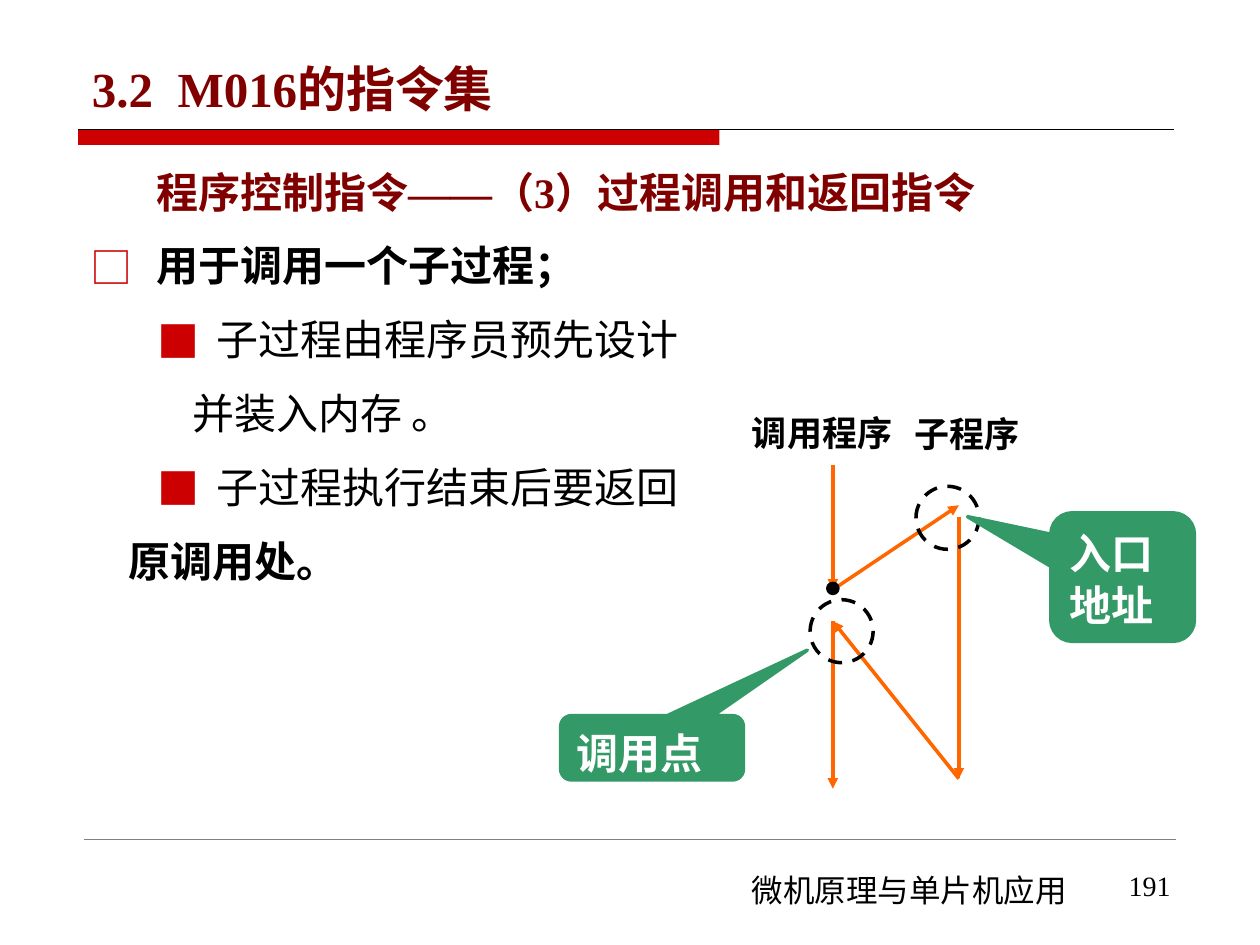
from lxml import etree
from pptx import Presentation, util as u
from pptx.dml.color import RGBColor
from pptx.enum import dml, shapes, text
from pptx.oxml import ns

THEME = {
    "latin": "Times New Roman", "cjk": "Noto Sans CJK SC",
    "maroon": "800000", "red": "CC0000", "black": "000000", "gray": "808080",
    "orange": "FF6600", "green": "339966", "white": "FFFFFF",
    "title": 28, "body": 24, "label": 20, "footer": 18, "number": 16,
}


def color(name):
    return RGBColor.from_string(THEME[name])


def style(para, size, ink, bold=False, leading=1.25):
    """Format every run of a paragraph, with an exact line height."""
    para.line_spacing = u.Pt(round(THEME[size] * leading, 1))
    for span in para.runs:
        span.font.size = u.Pt(THEME[size])
        span.font.bold = bold
        span.font.color.rgb = color(ink)
        span.font.name = THEME["latin"]
        east = etree.SubElement(span.font._element, ns.qn("a:ea"))
        east.set("typeface", THEME["latin" if span.text == "——" else "cjk"])


deck = Presentation()
deck.slide_width, deck.slide_height = u.Inches(10), u.Inches(7.5)
page = deck.slides.add_slide(deck.slide_layouts[5])

# Title
title = page.shapes.title
title.left, title.top = u.Inches(0.63), u.Inches(0.21)
title.width, title.height = u.Inches(8.75), u.Inches(0.74)
title.text_frame.text = "3.2  M016的指令集"
title.text_frame.vertical_anchor = text.MSO_ANCHOR.BOTTOM
title.text_frame.margin_bottom = u.Inches(0.02)
title.text_frame.paragraphs[0].alignment = text.PP_ALIGN.LEFT
style(title.text_frame.paragraphs[0], "title", "maroon", True)

# Title bar
bar = page.shapes.add_shape(shapes.MSO_SHAPE.RECTANGLE, u.Inches(0.62), u.Inches(1.03),
                            u.Inches(5.09), u.Inches(0.12))
bar.shadow.inherit = False
bar.fill.solid()
bar.fill.fore_color.rgb = color("red")
bar.line.fill.background()

# Body: wording, bullet, left margin, first-line indent, bold
body = page.shapes.add_textbox(u.Inches(0.62), u.Inches(1.15), u.Inches(8.75), u.Inches(5.51))
body.text_frame.word_wrap = True
lines = [
    (["程序控制指令", "——", "（3）过程调用和返回指令"], None, 0.52, 0, True),
    (["用于调用一个子过程；"], "□", 0.52, -0.52, True),
    (["子过程由程序员预先设计"], "■", 1.0, -0.47, False),
    (["并装入内存 。"], None, 0.81, 0, False),
    (["子过程执行结束后要返回"], "■", 1.0, -0.47, False),
    (["原调用处。"], None, 0.3, 0, True),
]
for number, (pieces, bullet, margin, indent, bold) in enumerate(lines):
    para = body.text_frame.add_paragraph() if number else body.text_frame.paragraphs[0]
    for piece in pieces:
        para.add_run().text = piece
    props = para._p.get_or_add_pPr()
    props.set("marL", str(u.Inches(margin)))
    props.set("indent", str(u.Inches(indent)))
    if bullet:
        tint = etree.SubElement(props, ns.qn("a:buClr"))
        etree.SubElement(tint, ns.qn("a:srgbClr")).set("val", THEME["red"])
        etree.SubElement(props, ns.qn("a:buFont")).set("typeface", THEME["cjk"])
        etree.SubElement(props, ns.qn("a:buChar")).set("char", bullet)
    if number:
        para.space_before = u.Pt(4.8)
    style(para, "body", "black" if number else "maroon", bold, 1.56)

# Footer, page number and diagram labels
labels = [
    ("微机原理与单片机应用", 5.87, 6.85, 2.76, 0.4, "footer", False),
    ("191", 8.86, 6.83, 0.79, 0.52, "number", False),
    ("调用程序", 5.87, 3.2, 1.5, 0.43, "label", True),
    ("子程序", 7.16, 3.21, 1.26, 0.43, "label", True),
]
for words, left, top, width, height, size, bold in labels:
    box = page.shapes.add_textbox(*map(u.Inches, (left, top, width, height)))
    box.text_frame.word_wrap = True
    box.text_frame.text = words
    style(box.text_frame.paragraphs[0], size, "black", bold)

# Rules and call-flow arrows
caller, routine = 6.61, 7.61
connectors = [
    (0.62, 1.03, 9.32, 1.03, "black", 0.75, False),
    (0.67, 6.66, 9.33, 6.66, "gray", 0.25, False),
    (caller, 3.69, caller, 4.68, "orange", 2, True),
    (caller, 4.68, routine, 4.01, "orange", 2, True),
    (routine, 4.1, routine, 6.18, "orange", 2, True),
    (routine, 6.18, caller, 4.93, "orange", 2, True),
    (caller, 4.93, caller, 6.26, "orange", 2, True),
]
for x1, y1, x2, y2, ink, weight, arrow in connectors:
    line = page.shapes.add_connector(shapes.MSO_CONNECTOR.STRAIGHT,
                                     *map(u.Inches, (x1, y1, x2, y2)))
    line.line.color.rgb = color(ink)
    line.line.width = u.Pt(weight)
    if arrow:
        stroke = line.line._get_or_add_ln()
        etree.SubElement(stroke, ns.qn("a:tailEnd")).set("type", "triangle")
    etree.SubElement(line._element.spPr, ns.qn("a:effectLst"))

# Dashed rings around the return point and the entry, and the call dot
for left, top, size, filled in [(6.43, 4.76, 0.5, False), (7.27, 3.86, 0.5, False),
                                (6.57, 4.63, 0.08, True)]:
    ring = page.shapes.add_shape(shapes.MSO_SHAPE.OVAL, *map(u.Inches, (left, top, size, size)))
    ring.shadow.inherit = False
    ring.line.color.rgb = color("black")
    ring.line.width = u.Pt(2)
    if filled:
        ring.fill.solid()
        ring.fill.fore_color.rgb = color("black")
    else:
        ring.fill.background()
        ring.line.dash_style = dml.MSO_LINE.DASH

# Callouts
callouts = [
    ("调用点", 4.45, 5.68, 1.45, 0.51, (0.85, -1.52)),
    ("入口地址", 8.34, 4.07, 1.14, 1.02, (-1.08, -0.47)),
]
for words, left, top, width, height, tip in callouts:
    callout = page.shapes.add_shape(shapes.MSO_SHAPE.ROUNDED_RECTANGULAR_CALLOUT,
                                    *map(u.Inches, (left, top, width, height)))
    callout.adjustments[0], callout.adjustments[1] = tip
    callout.shadow.inherit = False
    callout.fill.solid()
    callout.fill.fore_color.rgb = color("green")
    callout.line.color.rgb = color("green")
    callout.line.width = u.Pt(2)
    callout.text_frame.word_wrap = True
    callout.text_frame.vertical_anchor = text.MSO_ANCHOR.TOP
    callout.text_frame.text = words
    callout.text_frame.paragraphs[0].alignment = text.PP_ALIGN.LEFT
    style(callout.text_frame.paragraphs[0], "body", "white", True)

deck.save("out.pptx")
